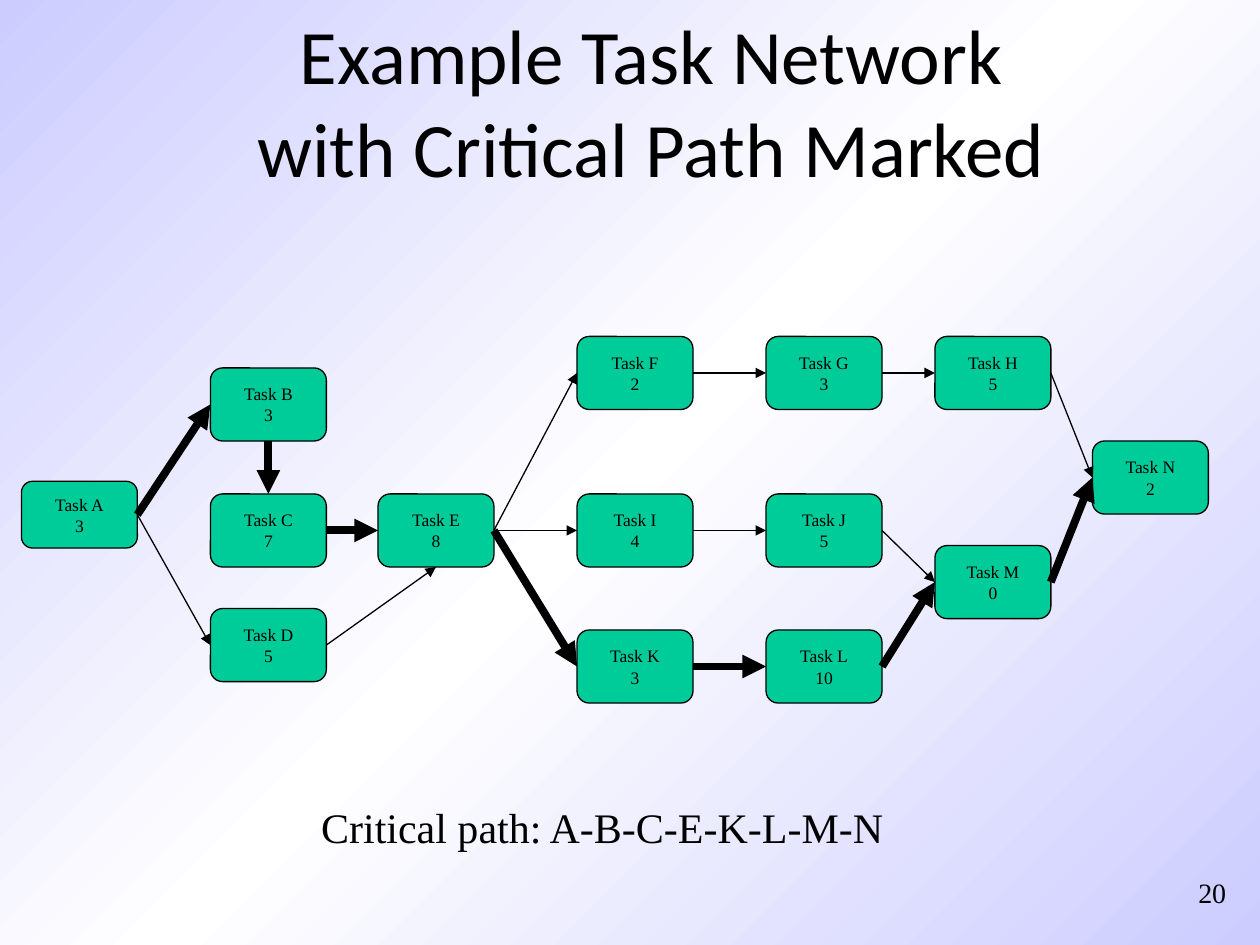
import copy
from dataclasses import dataclass

import pptx
import pptx.dml.color
import pptx.enum.shapes
import pptx.enum.text
import pptx.oxml.ns
import pptx.oxml.xmlchemy
import pptx.util
from lxml import etree
from pptx.util import Inches

SERIF = "Times New Roman"
BLACK = "000000"
CRITICAL_PATH = "A-B-C-E-K-L-M-N"
TOP, LEFT, BOTTOM, RIGHT = range(4)
ALIGN = pptx.enum.text.PP_ALIGN
MIDDLE = pptx.enum.text.MSO_ANCHOR.MIDDLE
BOX_WIDTH = 0.92


@dataclass
class Task:
    name: str
    duration: int
    left: float
    top: float
    height: float = 0.58


@dataclass
class Link:
    source: str
    target: str
    source_side: int = RIGHT
    target_side: int = LEFT


# Columns and rows of the network
COLUMNS = (0.17, 1.67, 3, 4.58, 6.08, 7.42, 8.67)
UPPER, CENTRE, LOWER = 2.67, 3.92, 5

TASKS = [
    Task("A", 3, COLUMNS[0], 3.82, 0.53),
    Task("B", 3, COLUMNS[1], 2.92),
    Task("C", 7, COLUMNS[1], CENTRE),
    Task("D", 5, COLUMNS[1], 4.83),
    Task("E", 8, COLUMNS[2], CENTRE),
    Task("F", 2, COLUMNS[3], UPPER),
    Task("G", 3, COLUMNS[4], UPPER),
    Task("H", 5, COLUMNS[5], UPPER),
    Task("I", 4, COLUMNS[3], CENTRE),
    Task("J", 5, COLUMNS[4], CENTRE),
    Task("K", 3, COLUMNS[3], LOWER),
    Task("L", 10, COLUMNS[4], LOWER),
    Task("M", 0, COLUMNS[5], 4.33),
    Task("N", 2, COLUMNS[6], 3.5),
]

LINKS = [
    Link("A", "B"), Link("A", "D"), Link("B", "C", BOTTOM, TOP),
    Link("C", "E"), Link("D", "E", RIGHT, BOTTOM),
    Link("E", "F"), Link("E", "I"), Link("E", "K"),
    Link("F", "G"), Link("G", "H"), Link("H", "N"),
    Link("I", "J"), Link("J", "M"),
    Link("K", "L"), Link("L", "M"), Link("M", "N"),
]


def color(value: str) -> pptx.dml.color.RGBColor:
    return pptx.dml.color.RGBColor.from_string(value)


def set_text(shape, text: str, size: float, font: str = SERIF,
             align=ALIGN.CENTER, anchor=MIDDLE, wrap: bool = True) -> None:
    text_frame = shape.text_frame
    text_frame.text = text
    text_frame.word_wrap = wrap
    text_frame.vertical_anchor = anchor
    for paragraph in text_frame.paragraphs:
        paragraph.alignment = align
        for run in paragraph.runs:
            run.font.size = pptx.util.Pt(size)
            run.font.name = font
            run.font.color.rgb = color(BLACK)


def add_text_box(slide, left: float, top: float, width: float, height: float):
    return slide.shapes.add_textbox(
        Inches(left), Inches(top), Inches(width), Inches(height))


def set_background(slide, outer: str, inner: str) -> None:
    fill = slide.background.fill
    fill.gradient()
    fill.gradient_angle = 135
    first, second = fill.gradient_stops
    first.color.rgb, first.position = color(outer), 0
    second.color.rgb, second.position = color(inner), 0.5
    stop_list = slide._element.find(".//" + pptx.oxml.ns.qn("a:gsLst"))
    last = copy.deepcopy(stop_list[0])
    last.set("pos", "100000")
    stop_list.append(last)


def add_task(slide, task: Task):
    shape = slide.shapes.add_shape(
        pptx.enum.shapes.MSO_SHAPE.ROUNDED_RECTANGLE,
        Inches(task.left), Inches(task.top),
        Inches(BOX_WIDTH), Inches(task.height))
    shape.shadow.inherit = False
    shape.fill.solid()
    shape.fill.fore_color.rgb = color("00CC99")
    shape.line.color.rgb = color(BLACK)
    shape.line.width = pptx.util.Pt(0.75)
    set_text(shape, f"Task {task.name}\n{task.duration}", 10, wrap=False)
    return shape


def add_link(slide, link: Link, boxes: dict) -> None:
    connector = slide.shapes.add_connector(
        pptx.enum.shapes.MSO_CONNECTOR.STRAIGHT, 0, 0, 0, 0)
    connector.begin_connect(boxes[link.source], link.source_side)
    connector.end_connect(boxes[link.target], link.target_side)
    critical = f"{link.source}-{link.target}" in CRITICAL_PATH
    connector.line.color.rgb = color(BLACK)
    connector.line.width = pptx.util.Pt(4.5 if critical else 0.75)
    qn = pptx.oxml.ns.qn
    properties = connector._element.spPr
    etree.SubElement(properties.find(qn("a:ln")), qn("a:tailEnd"), type="triangle")
    etree.SubElement(properties, qn("a:effectLst"))


def main() -> None:
    presentation = pptx.Presentation()
    presentation.slide_width = Inches(10)
    presentation.slide_height = Inches(7.5)
    slide = presentation.slides.add_slide(presentation.slide_layouts[6])
    set_background(slide, "CCCCFF", "FFFFFF")

    # Title and page number
    set_text(add_text_box(slide, 0.92, 0.01, 8.5, 1.57),
             "Example Task Network\vwith Critical Path Marked", 44, "Calibri")
    set_text(add_text_box(slide, 9.25, 6.83, 0.58, 0.5), "20", 16,
             align=ALIGN.RIGHT)

    # Task network
    boxes = {task.name: add_task(slide, task) for task in TASKS}
    for link in LINKS:
        add_link(slide, link, boxes)

    # Caption
    set_text(add_text_box(slide, 2.44, 6.31, 4.68, 0.5),
             f"Critical path: {CRITICAL_PATH}", 24,
             anchor=pptx.enum.text.MSO_ANCHOR.TOP, wrap=False)

    presentation.save("out.pptx")


if __name__ == "__main__":
    main()
